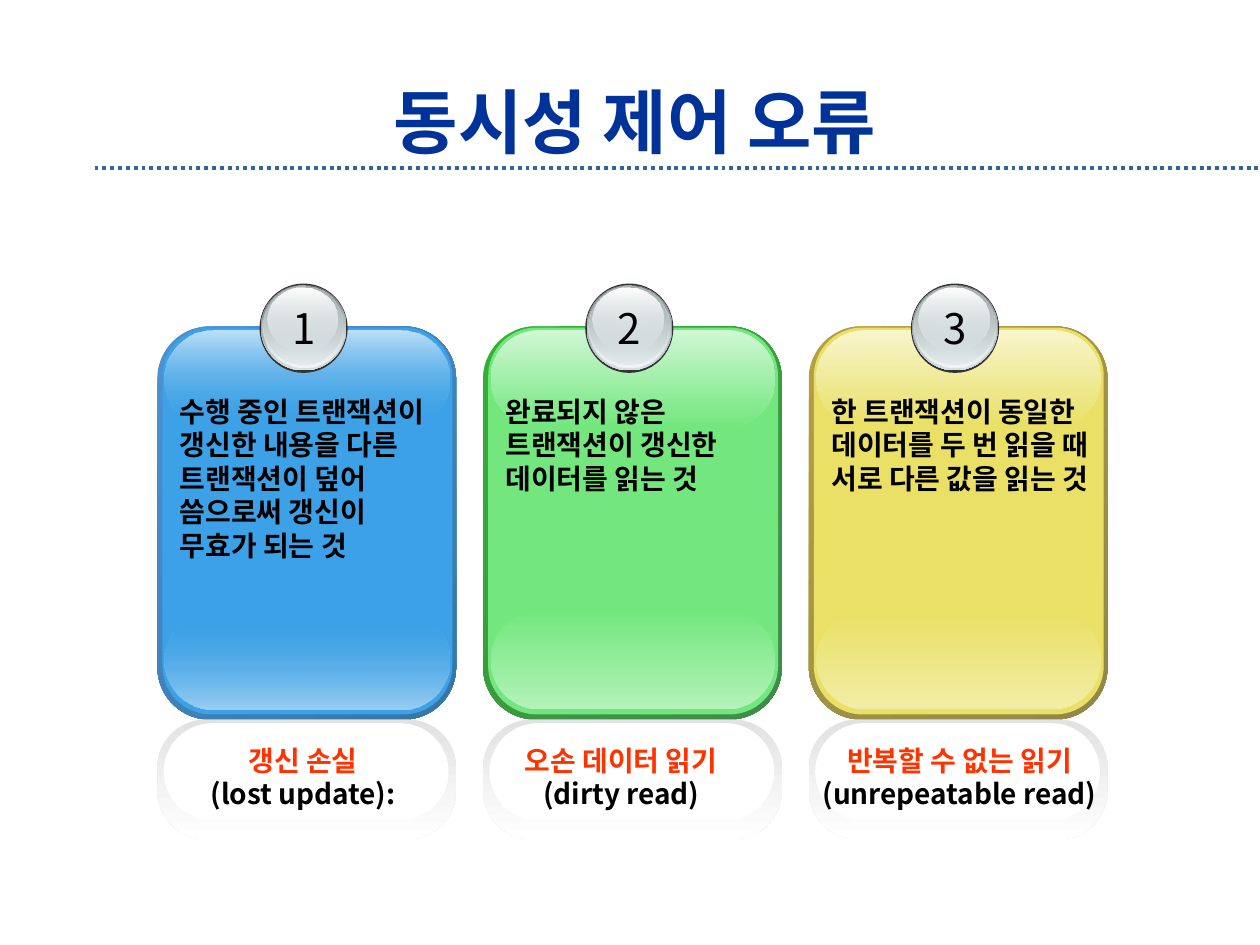
"""Build the slide on concurrency control errors."""
from dataclasses import dataclass

from lxml import etree
from pptx import Presentation
from pptx import util as u
from pptx.dml.color import RGBColor
from pptx.enum import dml, shapes, text
from pptx.oxml.ns import qn


@dataclass(frozen=True)
class Theme:
    """Colours, typeface and type sizes."""
    font: str = "Noto Sans CJK KR"
    title: str = "003399"
    rule: str = "336699"
    ink: str = "000000"
    accent: str = "FF3300"
    white: str = "FFFFFF"
    rim: str = "333333"
    title_pt: int = 40
    number_pt: int = 24
    body_pt: int = 16


@dataclass(frozen=True)
class Card:
    """Wording, colours and label position of one card."""
    body: str
    lines: int
    name: str
    term: str
    label_left: float
    label_width: float
    label_wrap: bool
    edge: tuple
    face: str
    top_gloss: str
    bottom_gloss: str
    fade: int


ROUND = shapes.MSO_SHAPE.ROUNDED_RECTANGLE
OVAL = shapes.MSO_SHAPE.OVAL
LEFT, PITCH = 1.25, 2.585
CARDS = (
    Card("수행 중인 트랜잭션이 갱신한 내용을 다른 트랜잭션이 덮어 씀으로써 갱신이 무효가 되는 것", 5,
         "갱신 손실", "(lost update):", 1.56, 1.69, False,
         ("4E91D4", "3477A4"), "3CA1E6", "BEE0F7", "9BCFF2", 0),
    Card("완료되지 않은 트랜잭션이 갱신한 데이터를 읽는 것", 3,
         "오손 데이터 읽기", "(dirty read)", 3.98, 1.9, False,
         ("34B034", "3F8B4A"), "73E77E", "D0F7D4", "B3F2B9", 100),
    Card("한 트랜잭션이 동일한 데이터를 두 번 읽을 때 서로 다른 값을 읽는 것", 4,
         "반복할 수 없는 읽기", "(unrepeatable read)", 6.09, 3.05, True,
         ("B59F43", "8F8849"), "E9E065", "F8F5CC", "F2EDA6", 100),
)


class Deck:
    """Holds the theme and the current slide, and draws each kind of element."""

    def __init__(self, prs, theme):
        self.theme = theme
        self.slide = prs.slides.add_slide(prs.slide_layouts[5])

    def style(self, p, size, color, bold=True, align=text.PP_ALIGN.LEFT):
        """Format a paragraph and its runs."""
        p.alignment = align
        for r in p.runs:
            r.font.size, r.font.bold = u.Pt(size), bold
            r.font.color.rgb = RGBColor.from_string(color)
            r.font.name = self.theme.font
            ea = etree.SubElement(r.font._element, qn("a:ea"))
            ea.set("typeface", self.theme.font)

    def title(self, words):
        """Place and format the title placeholder."""
        sp = self.slide.shapes.title
        sp.left, sp.top, sp.width, sp.height = map(u.Inches, (0.75, 0.67, 8.58, 0.58))
        tf = sp.text_frame
        tf.text = words
        tf.auto_size = text.MSO_AUTO_SIZE.NONE
        tf.vertical_anchor = text.MSO_ANCHOR.MIDDLE
        self.style(tf.paragraphs[0], self.theme.title_pt, self.theme.title,
                   align=text.PP_ALIGN.CENTER)

    def rule(self, left, right, y):
        """Draw a dotted horizontal rule."""
        line = self.slide.shapes.add_connector(
            shapes.MSO_CONNECTOR.STRAIGHT, *map(u.Inches, (left, y, right, y)))
        line.line.color.rgb = RGBColor.from_string(self.theme.rule)
        line.line.width = u.Pt(2.25)
        line.line.dash_style = dml.MSO_LINE.ROUND_DOT
        etree.SubElement(line._element.spPr, qn("a:effectLst"))

    def shape(self, parent, kind, box, fill, adj=None, angle=90):
        """Draw a borderless shape with a plain colour or (colour, opacity) stops."""
        sp = parent.shapes.add_shape(kind, *map(u.Inches, box))
        sp.shadow.inherit = False
        sp.line.fill.background()
        if adj is not None:
            sp.adjustments[0] = adj
        if isinstance(fill, str):
            sp.fill.solid()
            sp.fill.fore_color.rgb = RGBColor.from_string(fill)
            return
        sp.fill.gradient()
        sp.fill.gradient_angle = 360 - angle
        nodes = sp._element.spPr.iter(qn("a:gs"))
        for stop, node, (color, opacity) in zip(sp.fill.gradient_stops, nodes, fill):
            stop.color.rgb = RGBColor.from_string(color)
            if opacity < 100:
                alpha = etree.SubElement(node[0], qn("a:alpha"))
                alpha.set("val", str(opacity * 1000))

    def textbox(self, parent, box, paragraphs, size, wrap=True, bold=True,
                align=text.PP_ALIGN.LEFT):
        """Add a text box from (words, colour) paragraphs."""
        tf = parent.shapes.add_textbox(*map(u.Inches, box)).text_frame
        tf.text = "\n".join(words for words, _ in paragraphs)
        tf.word_wrap = wrap
        tf.auto_size = text.MSO_AUTO_SIZE.SHAPE_TO_FIT_TEXT
        for p, (_, color) in zip(tf.paragraphs, paragraphs):
            self.style(p, size, color, bold, align)

    def badge(self, group, x, number):
        """Draw a glossy numbered disc."""
        t = self.theme
        for dx, y, w, h, fill in (
                (0.81, 2.25, 0.7, 0.71, t.rim),
                (0.82, 2.26, 0.68, 0.68, (("636869", 100), ("D6E1E2", 100))),
                (0.83, 2.26, 0.66, 0.66, (("D6E1E2", 0), ("F1F5F5", 100))),
                (0.84, 2.27, 0.63, 0.62, (("AAB2B3", 100), ("D6E1E2", 48))),
                (0.87, 2.28, 0.56, 0.5, ((t.white, 100), ("D6E1E2", 38)))):
            self.shape(group, OVAL, (x + dx, y, w, h), fill)
        self.textbox(group, (x + 0.97, 2.35, 0.41, 0.51), [(str(number), t.ink)],
                     t.number_pt, wrap=False, bold=False)

    def card(self, x, number, card):
        """Draw one card with its badge, body and base."""
        t = self.theme
        group = self.slide.shapes.add_group_shape()
        edge = [(color, 100) for color in card.edge]
        self.shape(group, ROUND, (x, 2.59, 2.37, 3.12), edge, 0.175, angle=45)
        self.shape(group, ROUND, (x + 0.04, 2.6, 2.3, 3.07), card.face, 0.167)
        for y, h, fill in (
                (4.85, 0.78, ((card.face, card.fade), (card.bottom_gloss, 100))),
                (2.62, 0.77, ((card.top_gloss, 100), (card.face, card.fade)))):
            self.shape(group, ROUND, (x + 0.06, y, 2.26, h), fill, 0.5)
        self.shape(group, ROUND, (x, 5.71, 2.37, 0.95),
                   (("E2E2E2", 100), (t.white, 100)), 0.404)
        self.shape(group, ROUND, (x + 0.05, 5.74, 2.26, 0.77), t.white, 0.5)
        self.badge(group, x, number)
        self.textbox(group, (x + 0.08, 3.08, 2.25, 0.1 + 0.27 * card.lines),
                     [(card.body, t.ink)], t.body_pt)

    def label(self, card):
        """Write the name and English term below a card."""
        self.textbox(self.slide, (card.label_left, 5.85, card.label_width, 0.64),
                     [(card.name, self.theme.accent), (card.term, self.theme.ink)],
                     self.theme.body_pt, card.label_wrap, align=text.PP_ALIGN.CENTER)


def main():
    """Assemble and save the slide."""
    prs = Presentation()
    prs.slide_width, prs.slide_height = u.Inches(10), u.Inches(7.5)
    deck = Deck(prs, Theme())
    deck.rule(0.75, 10, 1.33)
    deck.title("동시성 제어 오류")
    for i, card in enumerate(CARDS):
        deck.card(LEFT + i * PITCH, i + 1, card)
    for card in CARDS:
        deck.label(card)
    prs.save("out.pptx")


if __name__ == "__main__":
    main()
